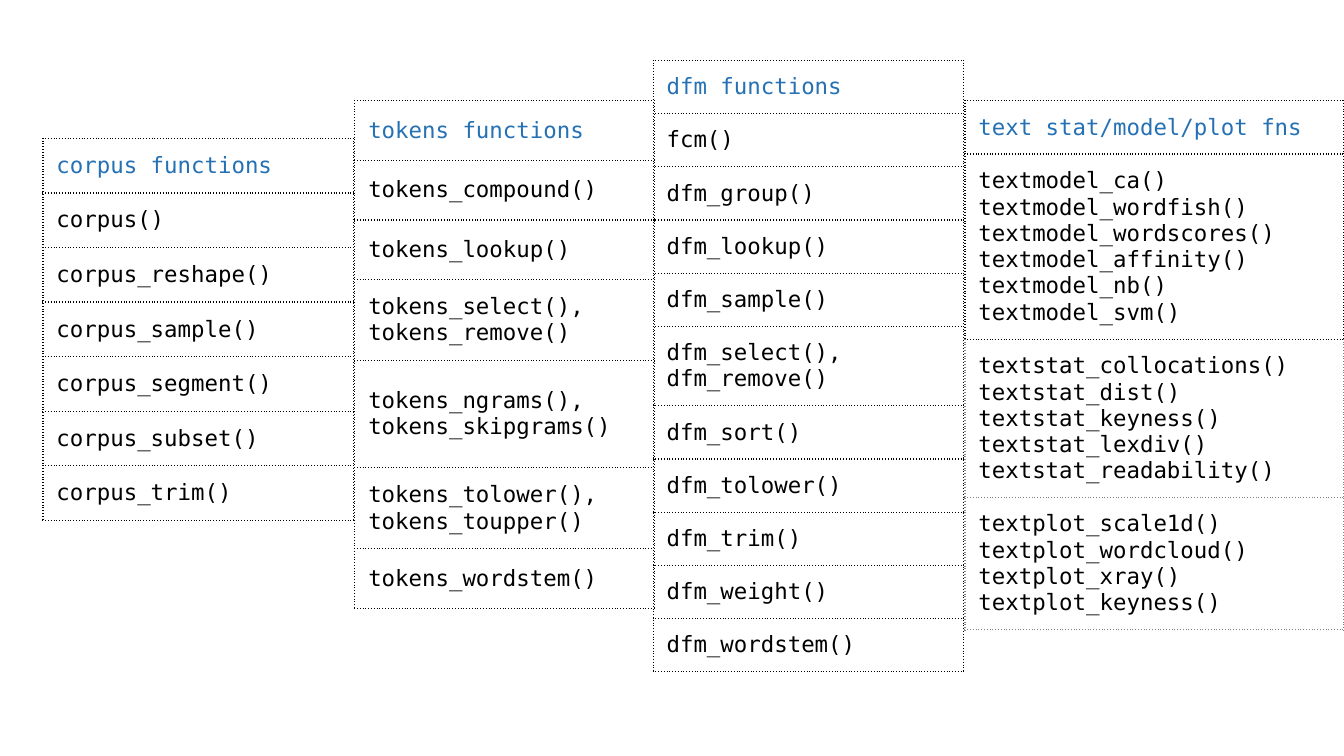
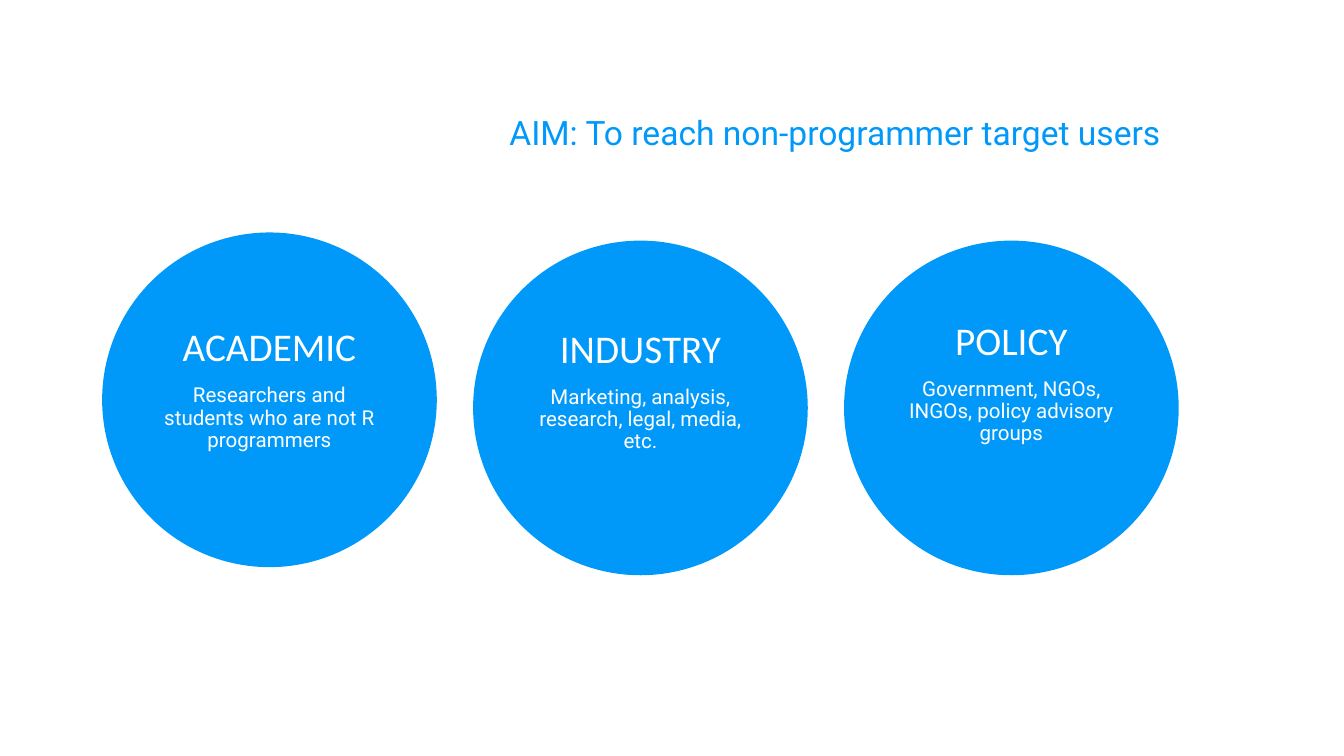
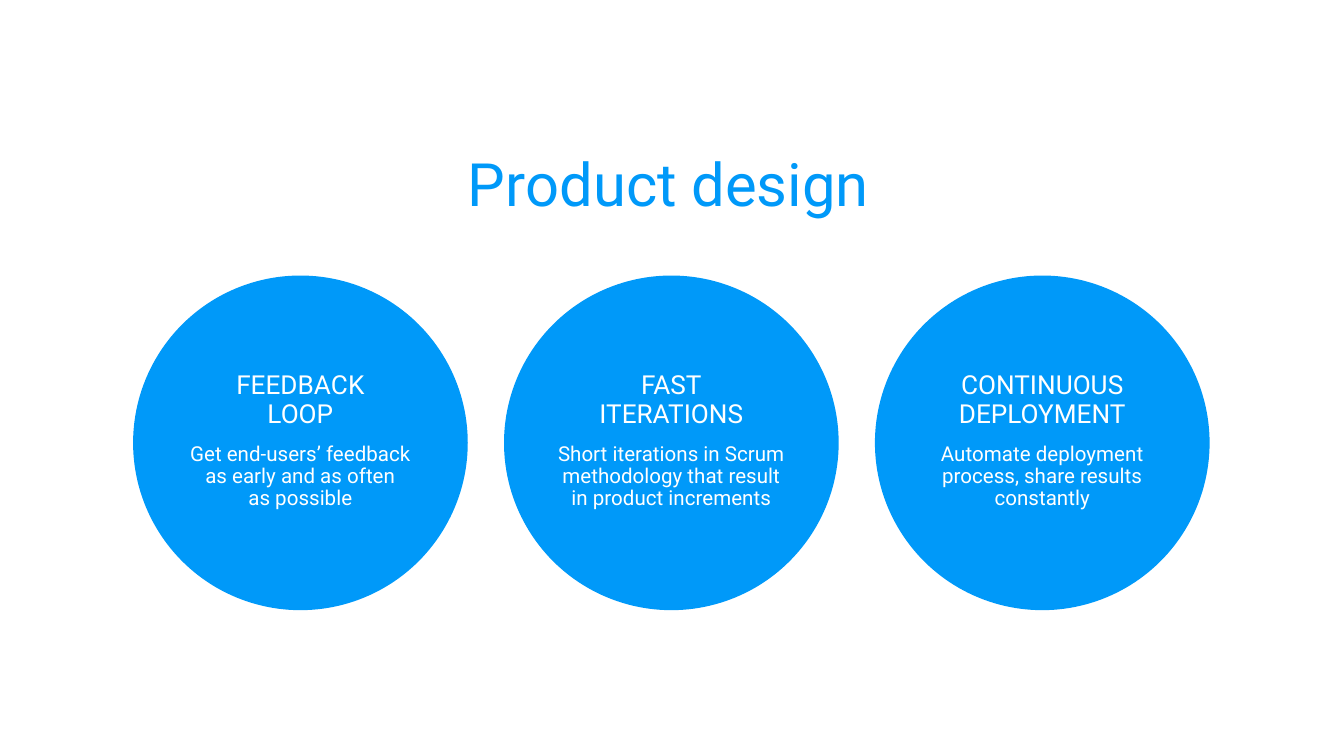
from copy import deepcopy
from typing import NamedTuple

from lxml.etree import SubElement
from pptx import Presentation
from pptx.dml.color import RGBColor
from pptx.enum.shapes import MSO_SHAPE
from pptx.enum.text import MSO_ANCHOR as Anchor, PP_ALIGN as Align
from pptx.oxml.ns import qn
from pptx.util import Emu, Inches, Pt

WIDE, HIGH = Inches(10), Inches(5.625)
COLS = 100  # the slide is a square grid, 100 columns wide
BLACK, GREY = RGBColor(0, 0, 0), RGBColor(0x80, 0x80, 0x80)
WHITE, SKY = RGBColor(255, 255, 255), RGBColor(0, 0x99, 0xF9)
HEAD = RGBColor(0x25, 0x71, 0xB4)
MONO, SANS, PLAIN = "DejaVu Sans Mono", "Roboto", "Calibri"
DISC, STEP = 24.9, 27.6
LABEL_IN, LABEL_W, LABEL_H = 3, 18.9, 12.6
BREAK = "\v"


class Style(NamedTuple):
    font: str
    size: float
    color: RGBColor
    align: Align | None = None
    lead: float | None = None
    before: float | None = None


class Listing(NamedTuple):
    left: float
    top: float
    width: float
    height: float
    rows: list[float]
    cells: list[str]
    grey: int = 99  # first row with grey borders


class Circle(NamedTuple):
    head: str
    body: str
    top: float
    label: float


CODE_HEAD = Style(MONO, 12, HEAD)
CODE = Style(MONO, 12, BLACK)
BODY = Style(SANS, 11, WHITE, Align.CENTER, 0.9, 8)
LOUD = Style(PLAIN, 21, WHITE, Align.CENTER, 0.9)
CALM = Style(SANS, 14, WHITE, Align.CENTER, 0.9)
AIM = Style(SANS, 18, SKY)
TITLE = Style(SANS, 32, SKY, Align.CENTER, 0.9)

LISTINGS = [
    Listing(3.2, 10.3, 23.1, 28.4, [4.06] * 7, [
        "corpus functions", "corpus()", "corpus_reshape()", "corpus_sample()",
        "corpus_segment()", "corpus_subset()", "corpus_trim()"]),
    Listing(26.4, 7.5, 22.3, 37.7, [4.44] * 3 + [6, 8, 6, 4.44], [
        "tokens functions", "tokens_compound()", "tokens_lookup()",
        "tokens_select(), tokens_remove()",
        "tokens_ngrams(), tokens_skipgrams()",
        "tokens_tolower(), tokens_toupper()", "tokens_wordstem()"]),
    Listing(48.6, 4.5, 23.1, 46, [3.7] * 11, [
        "dfm functions", "fcm()", "dfm_group()", "dfm_lookup()",
        "dfm_sample()", "dfm_select(), dfm_remove()", "dfm_sort()",
        "dfm_tolower()", "dfm_trim()", "dfm_weight()", "dfm_wordstem()"]),
    Listing(71.8, 7.5, 28.2, 40, [3.6, 13.8, 3.4, 3.4], [
        "text stat/model/plot fns",
        BREAK.join(["textmodel_ca()", "textmodel_wordfish()",
                    "textmodel_wordscores()", "textmodel_affinity()",
                    "textmodel_nb()", "textmodel_svm()"]),
        "\n".join(["textstat_collocations()", "textstat_dist()",
                   "textstat_keyness()", "textstat_lexdiv()",
                   "textstat_readability()"]),
        "\n".join(["textplot_scale1d()", "textplot_wordcloud()",
                   "textplot_xray()", "textplot_keyness()"])], grey=2),
]
USERS = [
    Circle("ACADEMIC", "Researchers and students who are not R programmers",
           17.3, 24),
    Circle("INDUSTRY", "Marketing, analysis, research, legal, media, etc.",
           17.9, 24.1),
    Circle("POLICY", "Government, NGOs, INGOs, policy advisory groups",
           17.9, 23.5),
]
DESIGN = [Circle(head, body, 20.5, 27.3) for head, body in [
    ("FEEDBACK\nLOOP",
     "Get end-users’ feedback as early and as often" + BREAK + "as possible"),
    ("FAST\nITERATIONS",
     "Short iterations in Scrum methodology that result in product increments"),
    ("CONTINUOUS DEPLOYMENT",
     "Automate deployment process, share results constantly"),
]]


def grid(*units: float) -> list[Emu]:
    return [Emu(round(unit * WIDE / COLS)) for unit in units]


def write(frame, parts: list[tuple[str, Style]]) -> None:
    """Fill a frame with one paragraph per line of each styled part."""
    lines = [(line, style) for text, style in parts for line in text.split("\n")]
    for i, (line, style) in enumerate(lines):
        para = frame.add_paragraph() if i else frame.paragraphs[0]
        para.text = line
        looks = {"alignment": style.align, "line_spacing": style.lead,
                 "space_before": style.before and Pt(style.before)}
        for name, value in looks.items():
            if value is not None:
                setattr(para, name, value)
        for run in para.runs:
            run.font.name, run.font.size = style.font, Pt(style.size)
            run.font.color.rgb = style.color
        for gap in para._p.findall(qn("a:br")):
            gap.insert(0, deepcopy(para.runs[0].font._element))


def add_text(slide, place: tuple[float, ...], parts: list[tuple[str, Style]],
             anchor: Anchor = Anchor.TOP, inset: float = 0.4) -> None:
    frame = slide.shapes.add_textbox(*grid(*place)).text_frame
    left, top, low = grid(0.7, inset, 0.4)
    looks = {"word_wrap": True, "vertical_anchor": anchor, "margin_left": left,
             "margin_right": left, "margin_top": top, "margin_bottom": low}
    for name, value in looks.items():
        setattr(frame, name, value)
    write(frame, parts)


def add_edges(cell, colors: dict[str, RGBColor]) -> None:
    """Give a cell dotted borders, which come before its fill."""
    props = cell._tc.get_or_add_tcPr()
    for i, (side, color) in enumerate(colors.items()):
        line = SubElement(props, qn("a:ln" + side), w=str(Pt(0.75)))
        fill = SubElement(line, qn("a:solidFill"))
        SubElement(fill, qn("a:srgbClr"), val=str(color))
        SubElement(line, qn("a:prstDash"), val="dot")
        props.insert(i, line)


def add_listing(slide, item: Listing) -> None:
    place = grid(item.left, item.top, item.width, item.height)
    shape = slide.shapes.add_table(len(item.rows), 1, *place)
    table = shape.table
    table.first_row = table.horz_banding = False
    pad, right = grid(1, 2.6)
    looks = {"vertical_anchor": Anchor.MIDDLE, "margin_left": pad,
             "margin_top": pad, "margin_right": right, "margin_bottom": pad}
    for i, (high, text) in enumerate(zip(grid(*item.rows), item.cells)):
        table.rows[i].height = high
        cell = table.cell(i, 0)
        for name, value in looks.items():
            setattr(cell, name, value)
        cell.fill.background()
        edge = GREY if i >= item.grey else BLACK
        top = GREY if i > item.grey else BLACK
        add_edges(cell, {"L": edge, "R": edge, "T": top, "B": edge})
        write(cell.text_frame, [(text, CODE if i else CODE_HEAD)])
    shape.height = place[3]


def add_circles(slide, left: float, circles: list[Circle], head: Style) -> None:
    for i, item in enumerate(circles):
        x = left + i * STEP
        disc = slide.shapes.add_shape(MSO_SHAPE.OVAL,
                                      *grid(x, item.top, DISC, DISC))
        disc.shadow.inherit = False
        disc.fill.solid()
        disc.fill.fore_color.rgb = SKY
        disc.line.fill.background()
        add_text(slide, (x + LABEL_IN, item.label, LABEL_W, LABEL_H),
                 [(item.head, head), (item.body, BODY)])


def main() -> None:
    deck = Presentation()
    deck.slide_width, deck.slide_height = WIDE, HIGH
    code, users, design = (deck.slides.add_slide(deck.slide_layouts[6])
                           for _ in range(3))
    for item in LISTINGS:
        add_listing(code, item)

    add_circles(users, 7.6, USERS, LOUD)
    add_text(users, (37.2, 3.6, 54.8, 9.4),
             [("AIM: To reach non-programmer target users", AIM)],
             Anchor.MIDDLE, inset=3.4)

    add_text(design, (21, 10.9, 57.5, 6), [("Product design", TITLE)],
             Anchor.MIDDLE)
    add_circles(design, 9.9, DESIGN, CALM)
    deck.save("out.pptx")


if __name__ == "__main__":
    main()
